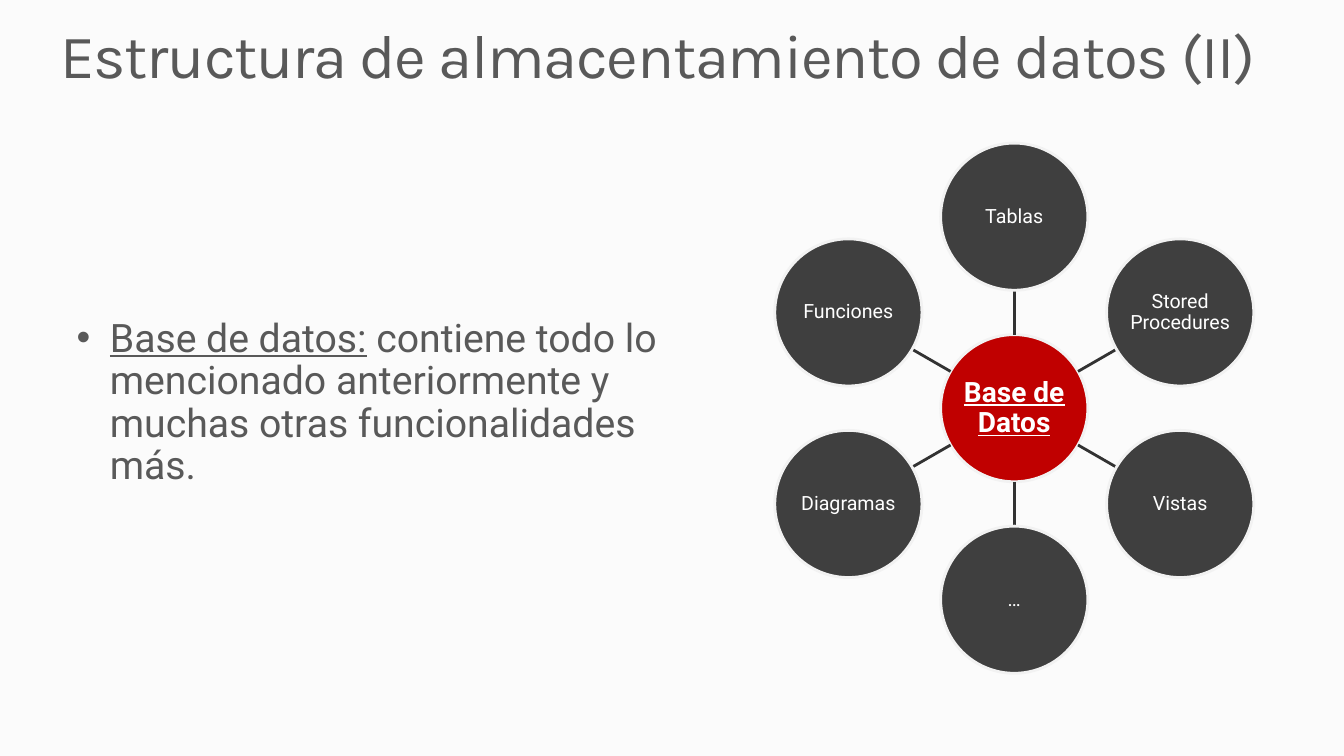
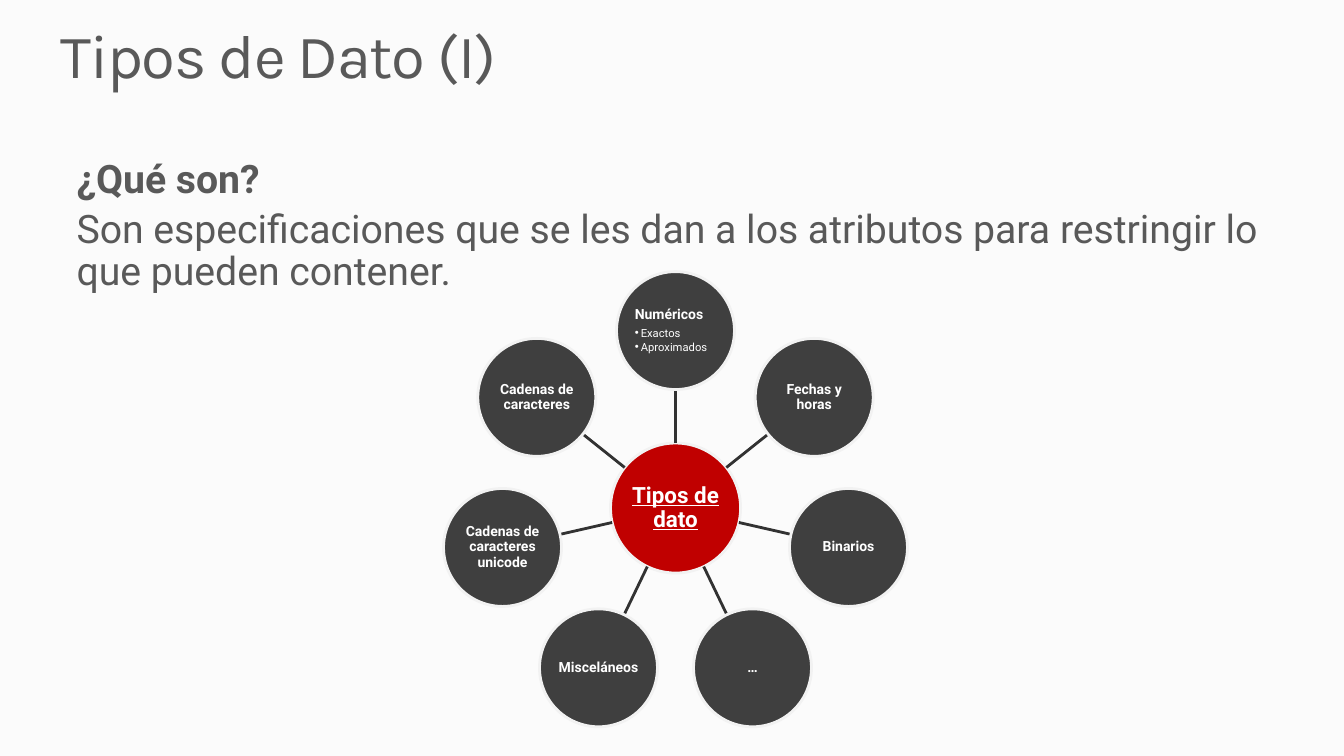
from dataclasses import dataclass
from math import cos, radians, sin

from lxml import etree
from pptx import Presentation
from pptx import util as u
from pptx.dml.color import RGBColor
from pptx.enum import shapes, text
from pptx.oxml import ns


@dataclass(frozen=True)
class Theme:
    background: str = "FBFBFB"
    ink: str = "595959"
    hub: str = "C00000"
    satellite: str = "3F3F3F"
    outline: str = "F2F2F2"
    spoke: str = "323232"
    label: str = "FFFFFF"
    title_font: str = "Karla"
    body_font: str = "Roboto"
    title_size: float = 44
    body_size: float = 28
    line_width: float = 2
    line_spacing: float = 0.9


THEME = Theme()


@dataclass(frozen=True)
class Span:
    words: str
    size: float = THEME.body_size
    color: str = THEME.ink
    bold: bool = False
    underline: bool = False
    font: str = THEME.body_font
    tracking: float = 0


@dataclass(frozen=True)
class Para:
    spans: tuple[Span, ...]
    before: float = 0
    after: float = 0
    indent: float = 0  # inches; a bullet hangs in it when above zero
    centered: bool = False


@dataclass(frozen=True)
class Box:
    left: float
    top: float
    width: float
    height: float

    def lengths(self) -> tuple[u.Length, ...]:
        return tuple(u.Inches(v) for v in (self.left, self.top, self.width, self.height))


@dataclass(frozen=True)
class Circle:
    x: float
    y: float
    diameter: float
    fill: str
    paras: tuple[Para, ...]


@dataclass(frozen=True)
class Wheel:
    """A hub with satellites spaced evenly, clockwise from the top."""
    hub: Circle
    orbit: float
    diameter: float
    satellites: tuple[tuple[Para, ...], ...]


@dataclass(frozen=True)
class Page:
    title: str
    body_box: Box
    body: tuple[Para, ...]
    wheel: Wheel


TITLE_BOX = Box(0.6, 0.25, 12.2, 0.67)


def rgb(value: str) -> RGBColor:
    return RGBColor.from_string(value)


def label(words: str, size: float, bold: bool = False, underline: bool = False) -> tuple[Para, ...]:
    span = Span(words, size, THEME.label, bold, underline)
    return (Para((span,), after=0.35 * size, centered=True),)


def body_para(*spans: Span, indent: float = 0) -> Para:
    return Para(spans, before=5.6, indent=indent)


def add_bullet(paragraph, para: Para) -> None:
    properties = paragraph._p.get_or_add_pPr()
    properties.set("marL", str(u.Inches(para.indent)))
    properties.set("indent", str(-u.Inches(para.indent)))
    color = etree.SubElement(properties, ns.qn("a:buClr"))
    etree.SubElement(color, ns.qn("a:srgbClr"), val=para.spans[0].color)
    etree.SubElement(properties, ns.qn("a:buFont"), typeface="Arial")
    etree.SubElement(properties, ns.qn("a:buChar"), char="•")


def write(frame, paras: tuple[Para, ...], inset: float = 0) -> None:
    frame.word_wrap = True
    frame.margin_left = frame.margin_right = u.Inches(inset)
    frame.margin_top = frame.margin_bottom = u.Inches(inset)
    for number, para in enumerate(paras):
        paragraph = frame.add_paragraph() if number else frame.paragraphs[0]
        paragraph.alignment = text.PP_ALIGN.CENTER if para.centered else text.PP_ALIGN.LEFT
        paragraph.line_spacing = THEME.line_spacing
        paragraph.space_before = u.Pt(para.before)
        paragraph.space_after = u.Pt(para.after)
        if para.indent:
            add_bullet(paragraph, para)
        for span in para.spans:
            run = paragraph.add_run()
            run.text = span.words
            font = run.font
            font.name, font.size = span.font, u.Pt(span.size)
            font.bold, font.underline = span.bold, span.underline
            font.color.rgb = rgb(span.color)
            if span.tracking:
                font._element.set("spc", str(round(span.tracking * 100)))


def add_text(slide, box: Box, paras: tuple[Para, ...]) -> None:
    frame = slide.shapes.add_textbox(*box.lengths()).text_frame
    frame.vertical_anchor = text.MSO_ANCHOR.TOP
    write(frame, paras)


def add_circle(slide, circle: Circle) -> None:
    radius = circle.diameter / 2
    box = Box(circle.x - radius, circle.y - radius, circle.diameter, circle.diameter)
    shape = slide.shapes.add_shape(shapes.MSO_SHAPE.OVAL, *box.lengths())
    shape.shadow.inherit = False
    shape.fill.solid()
    shape.fill.fore_color.rgb = rgb(circle.fill)
    shape.line.color.rgb = rgb(THEME.outline)
    shape.line.width = u.Pt(THEME.line_width)
    shape.text_frame.vertical_anchor = text.MSO_ANCHOR.MIDDLE
    write(shape.text_frame, circle.paras, inset=0.01)


def add_spoke(slide, start: tuple[float, float], end: tuple[float, float]) -> None:
    ends = (u.Inches(v) for v in (*start, *end))
    line = slide.shapes.add_connector(shapes.MSO_CONNECTOR.STRAIGHT, *ends)
    line.line.color.rgb = rgb(THEME.spoke)
    line.line.width = u.Pt(THEME.line_width)
    etree.SubElement(line._element.spPr, ns.qn("a:effectLst"))


def add_wheel(slide, wheel: Wheel) -> None:
    hub = wheel.hub
    add_circle(slide, hub)
    for number, paras in enumerate(wheel.satellites):
        angle = radians(360 * number / len(wheel.satellites))

        def point(distance: float) -> tuple[float, float]:
            return hub.x + distance * sin(angle), hub.y - distance * cos(angle)

        add_spoke(slide, point(hub.diameter / 2), point(wheel.orbit - wheel.diameter / 2))
        add_circle(slide, Circle(*point(wheel.orbit), wheel.diameter, THEME.satellite, paras))


def add_page(deck, page: Page) -> None:
    slide = deck.slides.add_slide(deck.slide_layouts[6])
    title = Span(page.title, THEME.title_size, font=THEME.title_font, tracking=-0.9)
    add_text(slide, TITLE_BOX, (Para((title,)),))
    add_text(slide, page.body_box, page.body)
    add_wheel(slide, page.wheel)


DATABASE_PARTS = ("Tablas", "Stored Procedures", "Vistas", "…", "Diagramas", "Funciones")
OTHER_TYPES = ("Fechas y horas", "Binarios", "…", "Misceláneos",
               "Cadenas de caracteres unicode", "Cadenas de caracteres")
NUMERIC_TYPES = (
    Para((Span("Numéricos", 10, THEME.label, bold=True),), after=3.5),
    *(Para((Span(kind, 8, THEME.label),), after=1.2, indent=0.06)
      for kind in ("Exactos", "Aproximados")),
)

PAGES = (
    Page(
        "Estructura de almacentamiento de datos (II)",
        Box(0.76, 3.16, 6.31, 3.75),
        (body_para(
            Span("Base de datos:", underline=True),
            Span(" contiene todo lo mencionado anteriormente y muchas otras funcionalidades más."),
            indent=0.33),),
        Wheel(
            Circle(10.06, 4.05, 1.46, THEME.hub, label("Base de Datos", 20, True, True)),
            1.9, 1.46, tuple(label(part, 14) for part in DATABASE_PARTS)),
    ),
    Page(
        "Tipos de Dato (I)",
        Box(0.76, 1.58, 12.04, 1.55),
        (body_para(Span("¿Qué son?", bold=True)),
         body_para(Span("Son especificaciones que se les dan a los atributos "
                        "para restringir lo que pueden contener."))),
        Wheel(
            Circle(6.7, 5.04, 1.29, THEME.hub, label("Tipos de dato", 16, True, True)),
            1.76, 1.17, (NUMERIC_TYPES, *(label(kind, 10, True) for kind in OTHER_TYPES))),
    ),
)


def main() -> None:
    deck = Presentation()
    deck.slide_width, deck.slide_height = u.Inches(13.33), u.Inches(7.5)
    fill = deck.slide_master.background.fill
    fill.solid()
    fill.fore_color.rgb = rgb(THEME.background)
    for page in PAGES:
        add_page(deck, page)
    deck.save("out.pptx")


if __name__ == "__main__":
    main()
